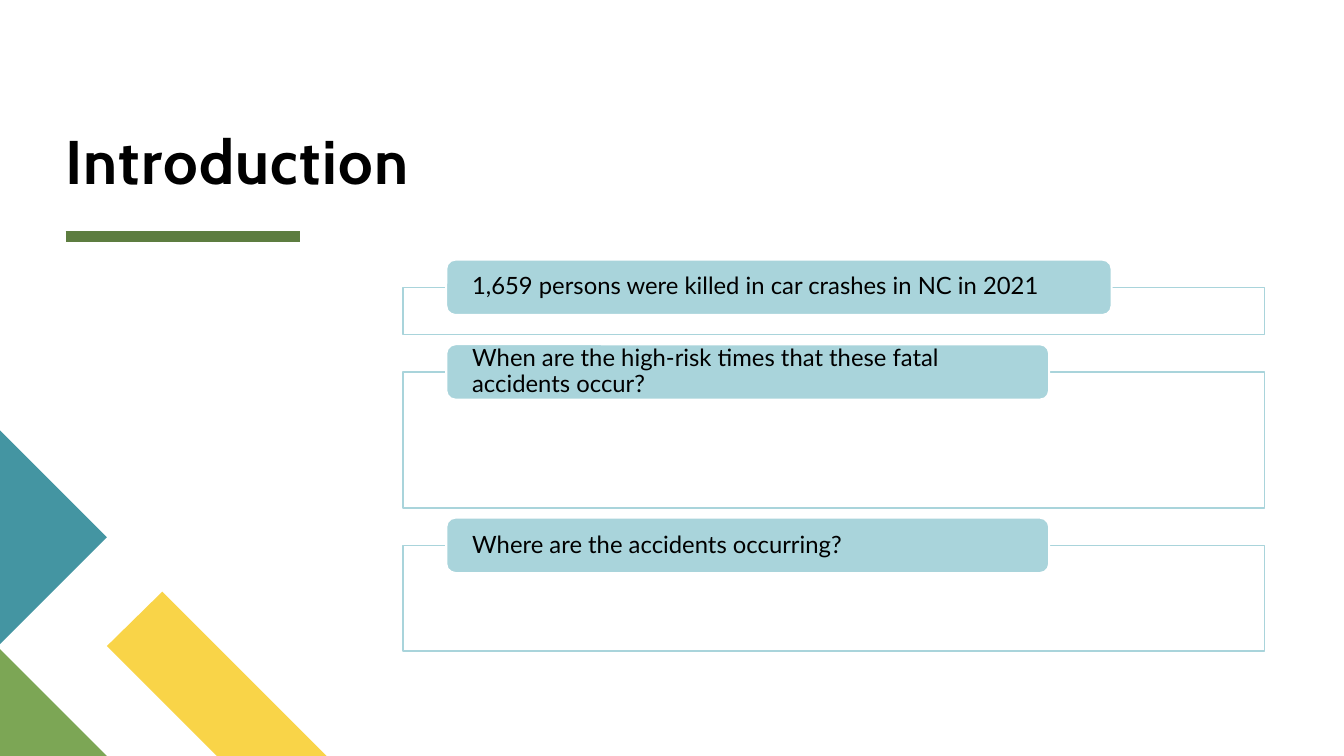
from lxml.etree import SubElement
from pptx import Presentation
from pptx.dml.color import RGBColor
from pptx.enum.shapes import MSO_CONNECTOR, MSO_SHAPE
from pptx.enum.text import MSO_ANCHOR, MSO_AUTO_SIZE, PP_ALIGN
from pptx.oxml.ns import qn
from pptx.util import Inches, Pt

SLIDE_WIDTH, SLIDE_HEIGHT = 13.33, 7.5
LEFT_MARGIN, CONTENT_WIDTH = 0.65, 11.89
PALE_BLUE, WHITE, BLACK = "A9D4DB", "FFFFFF", "000000"

# Label text, label width, frame height
QUESTIONS = [
    ("1,659 persons were killed in car crashes in NC in 2021", 6.6, 0.47),
    ("When are the high-risk times that these fatal accidents occur?", 5.98, 1.35),
    ("Where are the accidents occurring?", 5.98, 1.05),
]
CORNER_PIECES = [
    ("F9D448", [(3.24, 7.5), (2.15, 7.5), (1.06, 6.41), (1.61, 5.87)]),
    ("7CA655", [(1.06, 7.5), (0, 7.5), (0, 6.44)]),
    ("4495A2", [(0, 4.27), (1.06, 5.33), (0, 6.39)]),
]


def color(hex_string):
    return RGBColor.from_string(hex_string)


def style_shape(shape, fill, line=None, line_width=1):
    shape.shadow.inherit = False
    shape.fill.solid()
    shape.fill.fore_color.rgb = color(fill)
    if line:
        shape.line.color.rgb = color(line)
        shape.line.width = Pt(line_width)
    else:
        shape.line.fill.background()


def style_text(shape, anchor, font_name, size, line_spacing, side_inset=0):
    """Format the single left-aligned paragraph of a shape and return it."""
    frame = shape.text_frame
    frame.word_wrap = True
    frame.auto_size = MSO_AUTO_SIZE.NONE
    frame.vertical_anchor = anchor
    frame.margin_left = frame.margin_right = Inches(side_inset)
    frame.margin_top = frame.margin_bottom = 0
    paragraph = frame.paragraphs[0]
    paragraph.alignment = PP_ALIGN.LEFT
    paragraph.line_spacing = line_spacing
    paragraph.font.name = font_name
    paragraph.font.size = Pt(size)
    paragraph.font.color.rgb = color(BLACK)
    return paragraph


def add_corner_pieces(slide):
    for fill, points in CORNER_PIECES:
        corners = [(Inches(x), Inches(y)) for x, y in points]
        builder = slide.shapes.build_freeform(*corners[0])
        builder.add_line_segments(corners[1:], close=True)
        style_shape(builder.convert_to_shape(), fill)


def add_title(slide, left, top, width, height):
    title = slide.shapes.title
    title.left, title.top = Inches(left), Inches(top)
    title.width, title.height = Inches(width), Inches(height)
    title.text_frame.text = "Introduction"
    paragraph = style_text(title, MSO_ANCHOR.BOTTOM, "Cabin", 44, 0.8)
    paragraph.font.bold = True
    # Letter spacing of one point
    paragraph.runs[0].font._element.set("spc", "100")

    rule_y = Inches(top + height + 0.4)
    rule = slide.shapes.add_connector(
        MSO_CONNECTOR.STRAIGHT, Inches(left), rule_y, Inches(left + 2.33), rule_y)
    rule.line.color.rgb = color("5D7D40")
    rule.line.width = Pt(8)
    SubElement(rule._element.spPr, qn("a:effectLst"))


def add_question(slide, left, top, width, height, text, label_width):
    """Draw a frame with its label centred on the top edge."""
    label_height = 0.55
    frame = slide.shapes.add_shape(
        MSO_SHAPE.RECTANGLE, Inches(left), Inches(top), Inches(width), Inches(height))
    style_shape(frame, WHITE, PALE_BLUE)

    label = slide.shapes.add_shape(
        MSO_SHAPE.ROUNDED_RECTANGLE, Inches(left + width / 20),
        Inches(top - label_height / 2), Inches(label_width), Inches(label_height))
    style_shape(label, PALE_BLUE, WHITE, 1.5)
    label.text_frame.text = text
    style_text(label, MSO_ANCHOR.MIDDLE, "Lato", 17, 0.9, side_inset=0.23)


def add_question_list(slide, left, top, width, gap):
    for text, label_width, height in QUESTIONS:
        add_question(slide, left, top, width, height, text, label_width)
        top += height + gap


def main():
    presentation = Presentation()
    presentation.slide_width = Inches(SLIDE_WIDTH)
    presentation.slide_height = Inches(SLIDE_HEIGHT)
    slide = presentation.slides.add_slide(presentation.slide_layouts[5])
    slide.background.fill.solid()
    slide.background.fill.fore_color.rgb = color(WHITE)

    add_corner_pieces(slide)
    add_title(slide, LEFT_MARGIN, 0.11, CONTENT_WIDTH, 1.84)
    list_left = SLIDE_WIDTH * 0.3
    add_question_list(slide, list_left, 2.85,
                      LEFT_MARGIN + CONTENT_WIDTH - list_left, 0.37)
    presentation.save("out.pptx")


if __name__ == "__main__":
    main()
